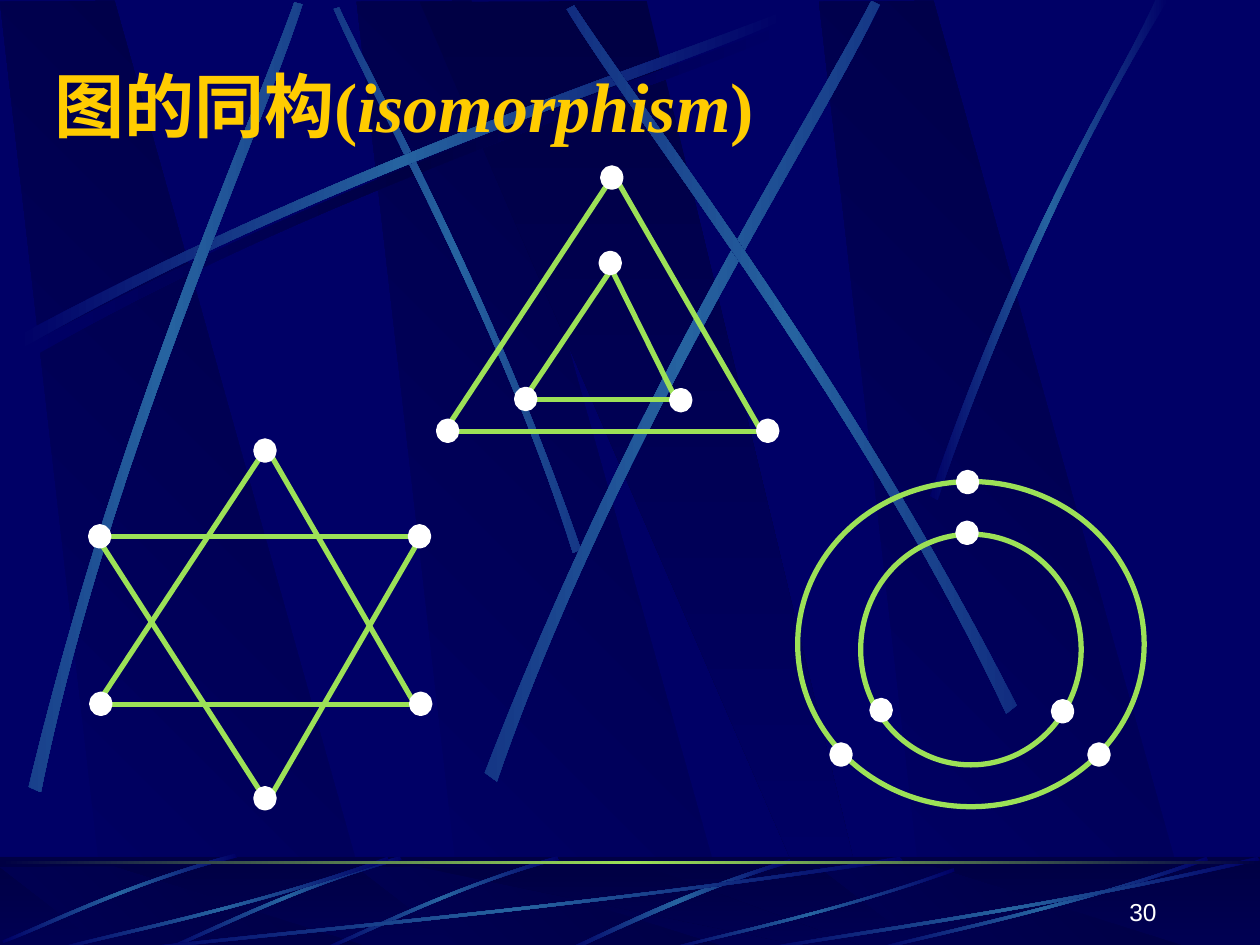
from lxml.etree import SubElement as Sub
from copy import deepcopy
from pptx import Presentation
from pptx.dml.color import RGBColor as Rgb
from pptx.enum.shapes import MSO_CONNECTOR as Conn, MSO_SHAPE as Kind
from pptx.enum.text import MSO_ANCHOR as Anchor, PP_ALIGN as Align
from pptx.oxml.ns import qn
from pptx.util import Pt

NAVY = Rgb(0x00, 0x00, 0x66)
DARK = Rgb(0x00, 0x00, 0x44)
BLUE = Rgb(0x26, 0x63, 0xA0)
LIME = Rgb(0x9C, 0xE1, 0x57)
GOLD = Rgb(0xFF, 0xCC, 0x00)
WHITE = Rgb(0xFF, 0xFF, 0xFF)

# Outlines in percent of their box; a beam is two cubic curves of four points
SLANT = [(28.5, 99.8), (100, 100), (30.1, 0), (0, 0.1)]
WEDGE = [(0, 0.1), (90, 100), (100, 100), (49.9, 0)]
SWEEP = [(0, 96.2), (43.4, 43.1), (82.9, 15.4), (99.5, 0),
         (100, 2.2), (83.4, 19.1), (38.3, 49.8), (0.5, 100)]
STEEP = [(0, 99.2), (40.2, 43.6), (79.4, 16.6), (94.7, 0),
         (100, 0), (51.9, 36.5), (16.4, 81.1), (3.2, 100)]
SHORT = [(99.4, 0), (49.4, 37), (16.1, 82.2), (0, 98.6),
         (2.8, 100), (23.3, 76.7), (68.3, 24.7), (100, 4.1)]

SHINE = (NAVY, BLUE, NAVY)
SHADE = (NAVY, DARK, NAVY)
DOT = (10.4, 11)


def grade(shape, hues, angle=0):
    """Fill with evenly spaced stops; the angle runs clockwise."""
    fill = shape.fill
    fill.gradient()
    fill.gradient_angle = -angle % 360
    grad = shape._element.spPr.find(qn("a:gradFill"))
    grad.set("rotWithShape", "0")
    stops = grad.find(qn("a:gsLst"))
    for _ in hues[2:]:
        stops.append(deepcopy(stops[0]))
    for i, (stop, hue) in enumerate(zip(fill.gradient_stops, hues)):
        stop.position = i / (len(hues) - 1)
        stop.color.rgb = hue
    shape.line.fill.background()
    shape.shadow.inherit = False


def trace(shapes, box, dots):
    x, y, w, h = box
    pts = [(Pt(x + u * w / 100), Pt(y + v * h / 100)) for u, v in dots]
    pen = shapes.build_freeform(*pts[0])
    pen.add_line_segments(pts[1:])
    return pen.convert_to_shape()


def bend(shape):
    """Turn the two long sides of an eight-point outline into cubic curves."""
    lines = list(shape._element.iter(qn("a:lnTo")))
    for trio in (lines[:3], lines[4:7]):
        cubic = Sub(trio[0].getparent(), qn("a:cubicBezTo"))
        trio[0].addprevious(cubic)
        for line in trio:
            cubic.append(line[0])
            line.getparent().remove(line)


def beam(shapes, box, plan=SWEEP, turn=0, flip="", hues=SHINE):
    dots = [(100 - u if "h" in flip else u, 100 - v if "v" in flip else v)
            for u, v in plan]
    shape = trace(shapes, box, dots)
    bend(shape)
    shape.rotation = turn
    grade(shape, hues)


def bars(shapes, top, high):
    for left in (203.8, 0, 468):
        grade(trace(shapes, (left, top, 217.4, high), SLANT), (NAVY, DARK), 315)
    grade(trace(shapes, (239.8, top, 260, high), WEDGE), (DARK, NAVY), 90)


def plate(shapes, box):
    shape = shapes.add_shape(Kind.RECTANGLE, *map(Pt, box))
    shape.shadow.inherit = False
    shape.line.fill.background()
    return shape


def backdrop(slide):
    group = slide.shapes.add_group_shape()
    shapes = group.shapes
    bars(shapes, 0.5, 541.2)
    big = (437.8, 192.2)
    beam(shapes, (14.4, 13, *big), hues=SHADE)
    beam(shapes, (101.5, 97.2, 318.2, 126), turn=45, flip="h")
    beam(shapes, (10, 7.2, *big))
    beam(shapes, (-123.1, 131, *big), turn=311.7)
    beam(shapes, (166.3, 115.2, 449.3, 216.7), turn=321.6)
    beam(shapes, (232.6, 109.4, *big), turn=34.7, flip="h")
    beam(shapes, (531.4, 0, 136.1, 285.8), STEEP)
    return group


def footer(slide, box):
    x, y, w, h = box
    group = slide.shapes.add_group_shape()
    shapes = group.shapes
    grade(plate(shapes, box), (DARK, NAVY), 90)
    bars(shapes, y + 5.8, h - 6)
    veil = plate(shapes, box)
    veil.fill.solid()
    veil.fill.fore_color.rgb = DARK
    hue = veil._element.spPr.find(qn("a:solidFill"))[0]
    Sub(hue, qn("a:alpha"), val="50000")

    beam(shapes, (x + 322.6, y + 1.4, 129.6, 52.6), SHORT)
    for left, top, wide, high in ((185.8, -2.9, 132.5, 59.8), (95.8, -2.9, 132.5, 59.8),
                                  (3.6, -6.5, 129.6, 61.2)):
        beam(shapes, (x + left, y + top, wide, high), turn=315, flip="h")
    for left, top, wide in ((72, 0, 444.2), (30.2, 0, 192.2), (379.4, 6.5, 166.3),
                            (498.2, 0, 192.2), (432, 0, 288)):
        beam(shapes, (x + left, y + top, wide, h - top), flip="hv")
    grade(plate(shapes, (x, y + 2.6, w, 1.8)), (DARK, LIME, DARK))
    return group


def edge(shapes, x, y, ends):
    x1, y1, x2, y2 = ends
    line = shapes.add_connector(Conn.STRAIGHT, Pt(x + x1), Pt(y + y1),
                                Pt(x + x2), Pt(y + y2))
    line.line.color.rgb = LIME
    line.line.width = Pt(3)
    Sub(line._element.spPr, qn("a:effectLst"))


def oval(shapes, box, hue, full):
    shape = shapes.add_shape(Kind.OVAL, *map(Pt, box))
    shape.shadow.inherit = False
    if full:
        shape.fill.solid()
        shape.fill.fore_color.rgb = hue
    else:
        shape.fill.background()
    shape.line.color.rgb = hue
    shape.line.width = Pt(3)


def graph(slide, x, y, nodes, edges=(), rings=()):
    """Draw one graph with its parts measured from the corner x, y."""
    shapes = slide.shapes.add_group_shape().shapes
    for ends in edges:
        edge(shapes, x, y, ends)
    for left, top, wide, high in rings:
        oval(shapes, (x + left, y + top, wide, high), LIME, False)
    for left, top in nodes:
        oval(shapes, (x + left, y + top, *DOT), WHITE, True)


def label(slide, box, runs, anchor, align, **base):
    frame = slide.shapes.add_textbox(*map(Pt, box)).text_frame
    frame.word_wrap = True
    frame.vertical_anchor = anchor
    para = frame.paragraphs[0]
    para.alignment = align
    for text, look in runs:
        run = para.add_run()
        run.text = text
        look = {**base, **look}
        run.font.color.rgb = look.pop("hue")
        for key, val in look.items():
            setattr(run.font, key, val)
        Sub(run._r.get_or_add_rPr(), qn("a:ea"), typeface=look["name"])


def main():
    deck = Presentation()
    deck.slide_width, deck.slide_height = Pt(720), Pt(540)
    slide = deck.slides.add_slide(deck.slide_layouts[6])
    slide.background.fill.solid()
    slide.background.fill.fore_color.rgb = NAVY
    # The decoration belongs to the master, beneath its placeholders
    tree = deck.slide_master.shapes._spTree
    for i, group in enumerate((backdrop(slide), footer(slide, (0, 489.6, 720, 54)))):
        tree.insert(2 + i, group._element)

    roman = {"name": "Times New Roman"}
    label(slide, (24, 31.8, 612, 55.4),
          [("图的同构", {"name": "Noto Sans CJK SC"}), ("(", roman),
           ("isomorphism", {**roman, "italic": True}), (")", roman)],
          Anchor.MIDDLE, Align.LEFT, size=Pt(40), bold=True, hue=GOLD)

    graph(slide, 51.8, 252,
          [(182.7, 49), (0, 49), (183.4, 144.7), (0.6, 144.7), (94.4, 0), (94.4, 198.7)],
          [(99.2, 203.8, 4.9, 56.9), (184.9, 149.8, 102.1, 6.5), (189.2, 54, 99.2, 209.5),
           (7, 54.7, 189.2, 54.7), (4.2, 149.8, 99.2, 5.8), (7.8, 150.5, 189.9, 150.5)])
    graph(slide, 250.6, 95.8,
          [(133.2, 127.4), (92.9, 49), (182.9, 144.9), (0, 144.9), (93.8, 0.2), (44.6, 126.7)],
          [(48.9, 132.4, 97.2, 60.4), (184.3, 150.4, 101.5, 6.4), (97.2, 54.7, 138.9, 138.9),
           (48.9, 132.4, 138.9, 132.4), (3.6, 150.4, 98.6, 6.4), (7.2, 150.6, 189.3, 150.6)])
    graph(slide, 455.8, 270,
          [(146.2, 131), (91.6, 29), (167, 155.7), (19.6, 155.7), (91.9, 0), (42.5, 130.3)],
          rings=[(36, 35.3, 126, 131.8), (0, 5.2, 198, 185.8)])

    label(slide, (518.2, 496.8, 149.8, 36), [("30", {})], Anchor.BOTTOM, Align.RIGHT,
          name="Arial", size=Pt(14), hue=WHITE)
    deck.save("out.pptx")


if __name__ == "__main__":
    main()
